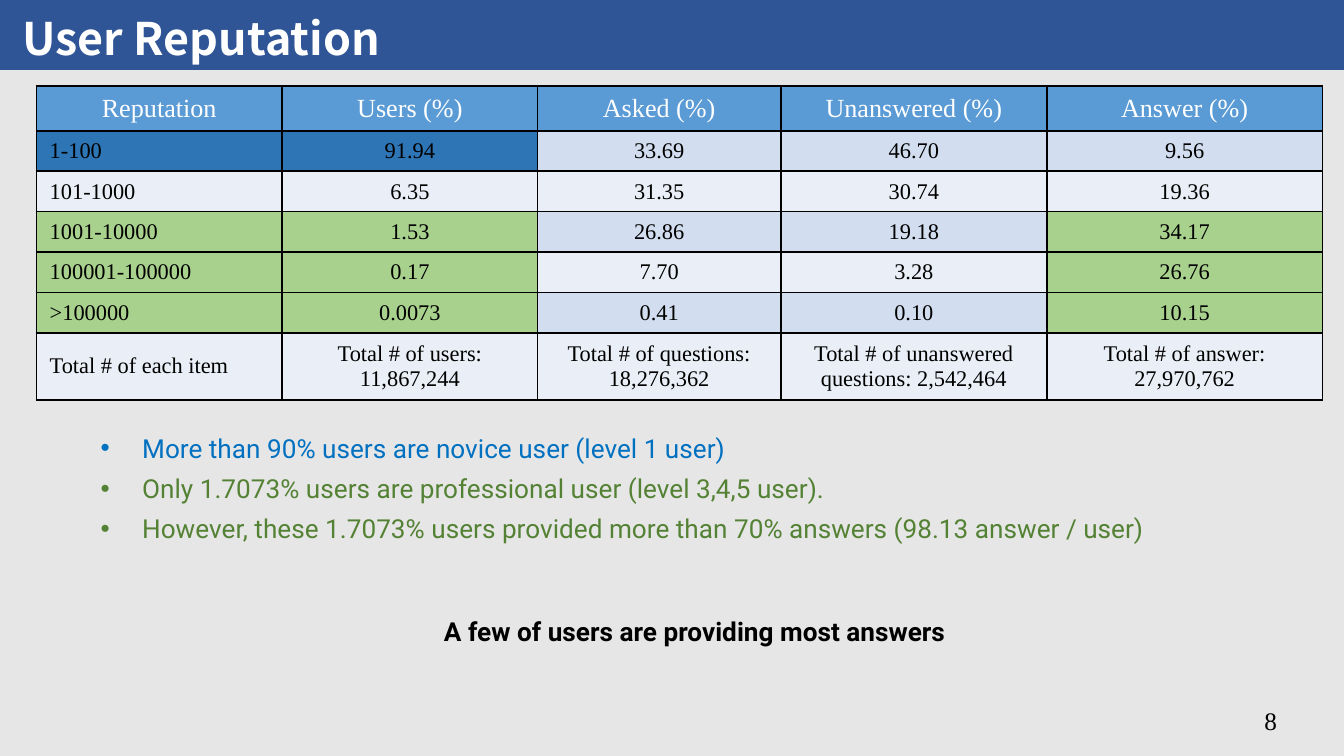
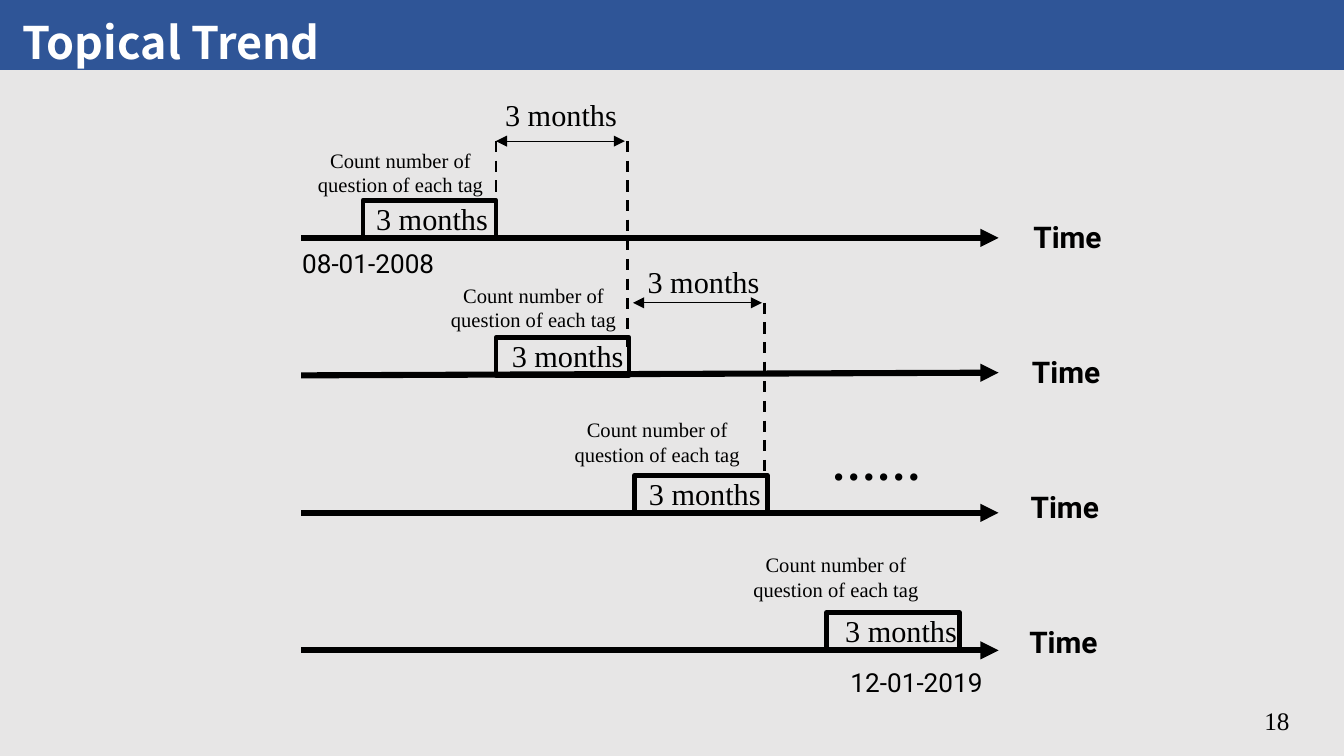
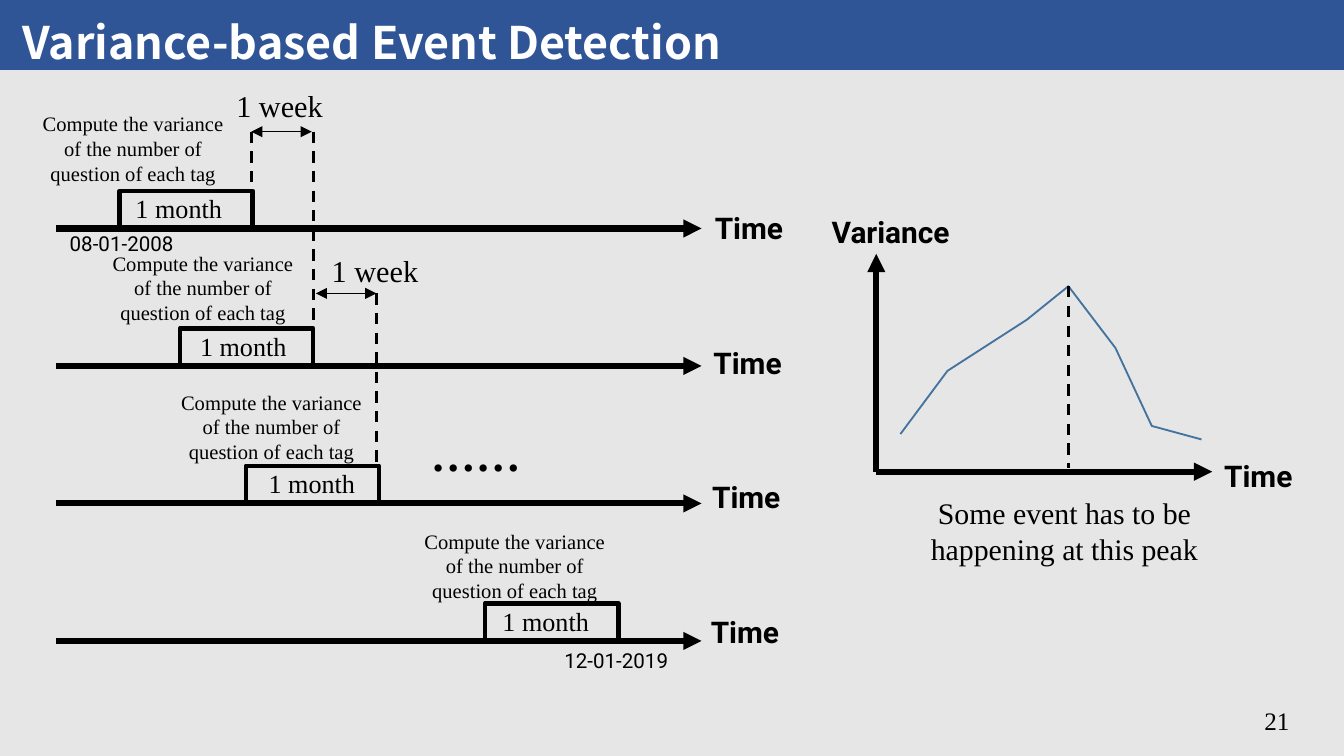
"""Build three slides on question-site users, topical trends and event detection."""
from dataclasses import dataclass
from typing import Any, NamedTuple, Optional

from lxml import etree
from pptx import Presentation
from pptx import util as u
from pptx.dml.color import RGBColor
from pptx.enum import dml, shapes, text
from pptx.oxml import ns

SLIDE_WIDTH = u.Inches(10)
SLIDE_HEIGHT = u.Emu(SLIDE_WIDTH * 9 // 16)
COLUMNS = 100
CELL = SLIDE_WIDTH // COLUMNS

BLACK = RGBColor(0x00, 0x00, 0x00)
WHITE = RGBColor(0xFF, 0xFF, 0xFF)
PAPER = RGBColor(0xE7, 0xE6, 0xE6)
NAVY = RGBColor(0x2F, 0x55, 0x97)
HEADER_BLUE = RGBColor(0x5B, 0x9B, 0xD5)
NOVICE_BLUE = RGBColor(0x2E, 0x75, 0xB6)
EXPERT_GREEN = RGBColor(0xA9, 0xD1, 0x8E)
STRIPE_DARK = RGBColor(0xD2, 0xDE, 0xEF)
STRIPE_LIGHT = RGBColor(0xEA, 0xEF, 0xF7)
NOTE_BLUE = RGBColor(0x00, 0x70, 0xC0)
NOTE_GREEN = RGBColor(0x54, 0x82, 0x35)
CURVE_BLUE = RGBColor(0x43, 0x73, 0x9E)

SERIF = "Times New Roman"
SANS = "Roboto"
CENTER = text.PP_ALIGN.CENTER


class Style(NamedTuple):
    size: float
    name: str = SERIF
    bold: bool = False
    color: RGBColor = BLACK


class Place(NamedTuple):
    left: float
    top: float
    width: float
    height: float


class Stroke(NamedTuple):
    width: float
    dashed: bool = False
    ends: tuple[str, ...] = ()


class Gap(NamedTuple):
    left: float
    right: float
    label_left: float
    label_top: float


class Stamp(NamedTuple):
    words: str
    left: float
    top: float


@dataclass(frozen=True)
class Timeline:
    left: float
    right: float
    first_axis: float
    windows: tuple[float, ...]
    window_words: str
    window_labels: tuple[float, ...]
    window_rise: float
    window_style: Style
    tasks: tuple[float, ...]
    task_words: str
    task_width: float
    task_top: float
    task_pitch: float
    time_left: float
    gap_words: str
    gaps: tuple[Gap, ...]
    dashes: tuple[float, ...]
    stamps: tuple[Stamp, ...]
    stamp_style: Style
    dots_left: float
    tilts: tuple[float, ...] = (0, 0, 0, 0)

    def axis(self, row: int) -> float:
        return self.first_axis + AXIS_PITCH * row


TITLE = Style(24, "Noto Sans CJK SC", True, WHITE)
NUMBER = Style(13.5)
AXIS_NAME = Style(16, SANS, True)
LABEL = Style(16.2)
TASK = Style(11)
DOTS = Style(24, bold=True)

AXIS = Stroke(3.25, ends=("tailEnd",))
DASH = Stroke(1.5, dashed=True)
MEASURE = Stroke(0.5, ends=("headEnd", "tailEnd"))

AXIS_PITCH = 10.23
TIME_PITCH = 10.03
WINDOW_WIDTH, WINDOW_HEIGHT = 9.9, 2.8
GAP_RISES = (7.2, 5.4)
DASH_RISES = (0.4, 2.1, 3.1)

COLUMN_WIDTHS = (18.3, 19, 18.1, 19.8, 20.5)
ROW_HEIGHTS = (3.3, 3, 3, 3, 3, 3, 5)
REPUTATION = (
    ("Reputation", "Users (%)", "Asked (%)", "Unanswered (%)", "Answer (%)"),
    ("1-100", "91.94", "33.69", "46.70", "9.56"),
    ("101-1000", "6.35", "31.35", "30.74", "19.36"),
    ("1001-10000", "1.53", "26.86", "19.18", "34.17"),
    ("100001-100000", "0.17", "7.70", "3.28", "26.76"),
    (">100000", "0.0073", "0.41", "0.10", "10.15"),
    ("Total # of each item", "Total # of users: 11,867,244",
     "Total # of questions:\n18,276,362",
     "Total # of unanswered questions: 2,542,464",
     "Total # of answer: 27,970,762"),
)
FINDINGS = (
    ("More than 90% users are novice user (level 1 user)", NOTE_BLUE),
    ("Only 1.7073% users are professional user (level 3,4,5 user).", NOTE_GREEN),
    ("However, these 1.7073% users provided more than 70% answers "
     "(98.13 answer / user)", NOTE_GREEN),
)

TREND = Timeline(
    left=22.4, right=74.3, first_axis=17.7,
    windows=(27, 36.9, 47.2, 61.5), window_words="3 months",
    window_labels=(27, 37.1, 47.3, 61.9), window_rise=3.3, window_style=LABEL,
    tasks=(22.4, 32.3, 41.5, 54.8),
    task_words="Count number of question of each tag",
    task_width=14.8, task_top=10.5, task_pitch=10.03, time_left=75.9,
    gap_words="3 months",
    gaps=(Gap(36.9, 46.5, 36.6, 6.7), Gap(47.1, 56.7, 47.2, 19.1)),
    dashes=(36.9, 46.7, 56.9),
    stamps=(Stamp("08-01-2008", 21.5, 17.9), Stamp("12-01-2019", 62.3, 49.1)),
    stamp_style=Style(14, SANS), dots_left=57.8, tilts=(0, -0.2, 0, 0),
)
VARIANCE = Timeline(
    left=4.2, right=52.2, first_axis=17,
    windows=(8.9, 13.4, 18.3, 36.1), window_words="1 month",
    window_labels=(9.1, 13.9, 19, 36.4), window_rise=3.15,
    window_style=Style(14),
    tasks=(2, 7.2, 12.3, 30.4),
    task_words="Compute the variance of the number of question of each tag",
    task_width=15.8, task_top=7.8, task_pitch=10.35, time_left=52.2,
    gap_words="1 week",
    gaps=(Gap(18.7, 23.2, 16.6, 6), Gap(23.5, 28, 23.7, 18.3)),
    dashes=(18.7, 23.3, 28),
    stamps=(Stamp("08-01-2008", 4.2, 16.7), Stamp("12-01-2019", 41, 47.7)),
    stamp_style=Style(11, SANS), dots_left=28,
)
CURVE = ((67, 32.3), (70.5, 27.6), (76.4, 23.8), (79.5, 21.3),
         (83, 25.9), (85.7, 31.7), (89.4, 32.7))
PEAK = min(CURVE, key=lambda point: point[1])
ORIGIN = (65.2, 35.1)


def grid(*cells: float) -> list[u.Emu]:
    """Turn grid units into slide lengths."""
    return [u.Emu(round(cell * CELL)) for cell in cells]


def assign(target: Any, values: dict[str, Any]) -> None:
    """Set each named attribute on the target."""
    for name, value in values.items():
        setattr(target, name, value)


def style_font(font: Any, style: Style) -> None:
    """Give a font its face, size, weight and colour."""
    assign(font, {"name": style.name, "size": u.Pt(style.size), "bold": style.bold})
    font.color.rgb = style.color


def add_text(page: Any, words: str, place: Place, style: Style, wrap: bool = True,
             **layout: Any) -> Any:
    """Add a text box holding one styled paragraph."""
    box = page.shapes.add_textbox(*grid(*place))
    assign(box.text_frame, {"word_wrap": wrap,
                            "auto_size": text.MSO_AUTO_SIZE.SHAPE_TO_FIT_TEXT})
    fill_para(box.text_frame.paragraphs[0], words, style, **layout)
    return box


def fill_para(para: Any, words: str, style: Style, **layout: Any) -> None:
    """Write one styled run into a paragraph."""
    assign(para, layout)
    span = para.add_run()
    span.text = words
    style_font(span.font, style)


def indent(para: Any, left: float, first: float, bullet: str = "") -> None:
    """Set a paragraph's indents and its bullet."""
    props = para._p.get_or_add_pPr()
    margin, hanging = grid(left, first)
    props.set("marL", str(margin))
    props.set("indent", str(hanging))
    if bullet:
        etree.SubElement(props, ns.qn("a:buFont"), typeface="Arial")
        etree.SubElement(props, ns.qn("a:buChar"), char=bullet)


def add_line(page: Any, start: tuple[float, float], end: tuple[float, float],
             stroke: Stroke) -> None:
    """Draw a straight black line with optional dashes and arrowheads."""
    line = page.shapes.add_connector(shapes.MSO_CONNECTOR.STRAIGHT, *grid(*start, *end))
    line.line.width = u.Pt(stroke.width)
    line.line.color.rgb = BLACK
    if stroke.dashed:
        line.line.dash_style = dml.MSO_LINE.DASH
    props = line.element.spPr
    for tip in stroke.ends:
        etree.SubElement(props.find(ns.qn("a:ln")), ns.qn(f"a:{tip}"), type="triangle")
    etree.SubElement(props, ns.qn("a:effectLst"))


def add_rectangle(page: Any, place: Place, fill: Optional[RGBColor] = None) -> None:
    """Draw a filled band, or a black outline when no fill is given."""
    shape = page.shapes.add_shape(shapes.MSO_SHAPE.RECTANGLE, *grid(*place))
    shape.shadow.inherit = False
    if fill is None:
        shape.fill.background()
        shape.line.color.rgb = BLACK
        shape.line.width = u.Pt(2.5)
    else:
        shape.fill.solid()
        shape.fill.fore_color.rgb = fill
        shape.line.fill.background()


def add_page(deck: Any, title: str, number: int, title_top: float = 0.1) -> Any:
    """Add a page with its background, title band and number."""
    page = deck.slides.add_slide(deck.slide_layouts[6])
    page.background.fill.solid()
    page.background.fill.fore_color.rgb = PAPER
    add_rectangle(page, Place(0, 0, COLUMNS, 5.2), NAVY)
    add_text(page, str(number), Place(93.1, 52, 5.4, 3), NUMBER)
    add_text(page, title, Place(0.7, title_top, 81.2, 5.2), TITLE, line_spacing=1.12)
    return page


def cell_fill(row: int, column: int) -> RGBColor:
    """Choose a cell's fill from its user level."""
    if row == 0:
        return HEADER_BLUE
    if row == 1 and column < 2:
        return NOVICE_BLUE
    if row in (3, 4, 5) and column in (0, 1, 4):
        return EXPERT_GREEN
    return STRIPE_DARK if row % 2 else STRIPE_LIGHT


def add_borders(cell: Any) -> None:
    """Outline a table cell in black."""
    props = cell._tc.get_or_add_tcPr()
    for position, side in enumerate("LRTB"):
        edge = etree.Element(ns.qn(f"a:ln{side}"), w=str(u.Pt(1)))
        paint = etree.SubElement(edge, ns.qn("a:solidFill"))
        etree.SubElement(paint, ns.qn("a:srgbClr"), val=str(BLACK))
        props.insert(position, edge)


def add_reputation_table(page: Any) -> None:
    """Add the table of user levels."""
    place = Place(2.7, 6.4, sum(COLUMN_WIDTHS), sum(ROW_HEIGHTS))
    table = page.shapes.add_table(len(ROW_HEIGHTS), len(COLUMN_WIDTHS),
                                  *grid(*place)).table
    assign(table, {"first_row": False, "horz_banding": False})
    for column, width in zip(table.columns, grid(*COLUMN_WIDTHS)):
        column.width = width
    for row, height in zip(table.rows, grid(*ROW_HEIGHTS)):
        row.height = height
    for r, entries in enumerate(REPUTATION):
        style = Style(12) if r else Style(14, color=WHITE)
        for c, words in enumerate(entries):
            cell = table.cell(r, c)
            cell.text = words
            cell.vertical_anchor = text.MSO_ANCHOR.MIDDLE
            cell.fill.solid()
            cell.fill.fore_color.rgb = cell_fill(r, c)
            add_borders(cell)
            for para in cell.text_frame.paragraphs:
                para.alignment = text.PP_ALIGN.LEFT if r and c == 0 else CENTER
                style_font(para.runs[0].font, style)


def add_findings(page: Any) -> None:
    """Add the bulleted findings and the conclusion."""
    layout = {"level": 1, "line_spacing": u.Pt(21.6)}
    box = page.shapes.add_textbox(*grid(2, 31, 98, 9.9))
    box.text_frame.word_wrap = True
    for index, (words, color) in enumerate(FINDINGS):
        frame = box.text_frame
        para = frame.add_paragraph() if index else frame.paragraphs[0]
        assign(para, layout)
        indent(para, 7.6, -3.1, "•")
        fill_para(para, words, Style(14, SANS, color=color))
    conclusion = add_text(page, "A few of users are providing most answers",
                          Place(9.8, 44.6, 79.3, 3.8), Style(14, SANS, True),
                          alignment=CENTER, **layout)
    indent(conclusion.text_frame.paragraphs[0], 4.5, 0)


def add_timeline(page: Any, plan: Timeline) -> None:
    """Draw stacked time axes with their sliding windows."""
    for row, window in enumerate(plan.windows):
        axis = plan.axis(row)
        add_line(page, (plan.left, axis), (plan.right, axis + plan.tilts[row]), AXIS)
        add_rectangle(page, Place(window, axis - WINDOW_HEIGHT,
                                  WINDOW_WIDTH, WINDOW_HEIGHT))
        add_text(page, plan.window_words,
                 Place(plan.window_labels[row], axis - plan.window_rise, 10.7, 3.7),
                 plan.window_style)
        add_text(page, plan.task_words,
                 Place(plan.tasks[row], plan.task_top + plan.task_pitch * row,
                       plan.task_width, 4.7), TASK, alignment=CENTER)
        add_text(page, "Time",
                 Place(plan.time_left - 0.1 * row,
                       plan.first_axis - 1.9 + TIME_PITCH * row, 7.2, 3.7),
                 AXIS_NAME, wrap=False)
    tops = [plan.axis(row) - rise for row, rise in enumerate(GAP_RISES)]
    for gap, top in zip(plan.gaps, tops):
        add_line(page, (gap.left, top), (gap.right, top), MEASURE)
        add_text(page, plan.gap_words,
                 Place(gap.label_left, gap.label_top, 10.6, 3.7), LABEL)
    for row, (x, top) in enumerate(zip(plan.dashes, (tops[0], *tops))):
        add_line(page, (x, top), (x, plan.axis(row) - DASH_RISES[row]), DASH)
    for stamp in plan.stamps:
        width = 12 if plan.stamp_style.size > 11 else 9.9
        add_text(page, stamp.words, Place(stamp.left, stamp.top, width, 3),
                 plan.stamp_style, wrap=False)
    add_text(page, "……", Place(plan.dots_left, plan.axis(2) - 6.2, 14.8, 5),
             DOTS, alignment=CENTER)


def add_variance_plot(page: Any) -> None:
    """Sketch variance over time with its peak marked."""
    for end in ((90.2, ORIGIN[1]), (ORIGIN[0], 18.9)):
        add_line(page, ORIGIN, end, AXIS)
    points = [tuple(grid(*point)) for point in CURVE]
    builder = page.shapes.build_freeform(*points[0])
    builder.add_line_segments(points[1:], close=False)
    curve = builder.convert_to_shape()
    curve.shadow.inherit = False
    curve.fill.background()
    curve.line.color.rgb = CURVE_BLUE
    curve.line.width = u.Pt(1)
    add_line(page, PEAK, (PEAK[0], 34.8), DASH)
    add_text(page, "Time", Place(90.1, 33.6, 7.2, 3.7), AXIS_NAME, wrap=False)
    add_text(page, "Variance", Place(60.9, 15.4, 11.2, 3.7), AXIS_NAME, wrap=False)
    add_text(page, "Some event has to be happening at this peak",
             Place(67.6, 36.3, 23.2, 6.4), Style(16), alignment=CENTER)


def main() -> None:
    """Build and save the deck."""
    deck = Presentation()
    assign(deck, {"slide_width": SLIDE_WIDTH, "slide_height": SLIDE_HEIGHT})
    reputation = add_page(deck, "User Reputation", 8, title_top=-0.2)
    add_reputation_table(reputation)
    add_findings(reputation)
    add_timeline(add_page(deck, "Topical Trend", 18), TREND)
    detection = add_page(deck, "Variance-based Event Detection", 21)
    add_variance_plot(detection)
    add_timeline(detection, VARIANCE)
    deck.save("out.pptx")


if __name__ == "__main__":
    main()
